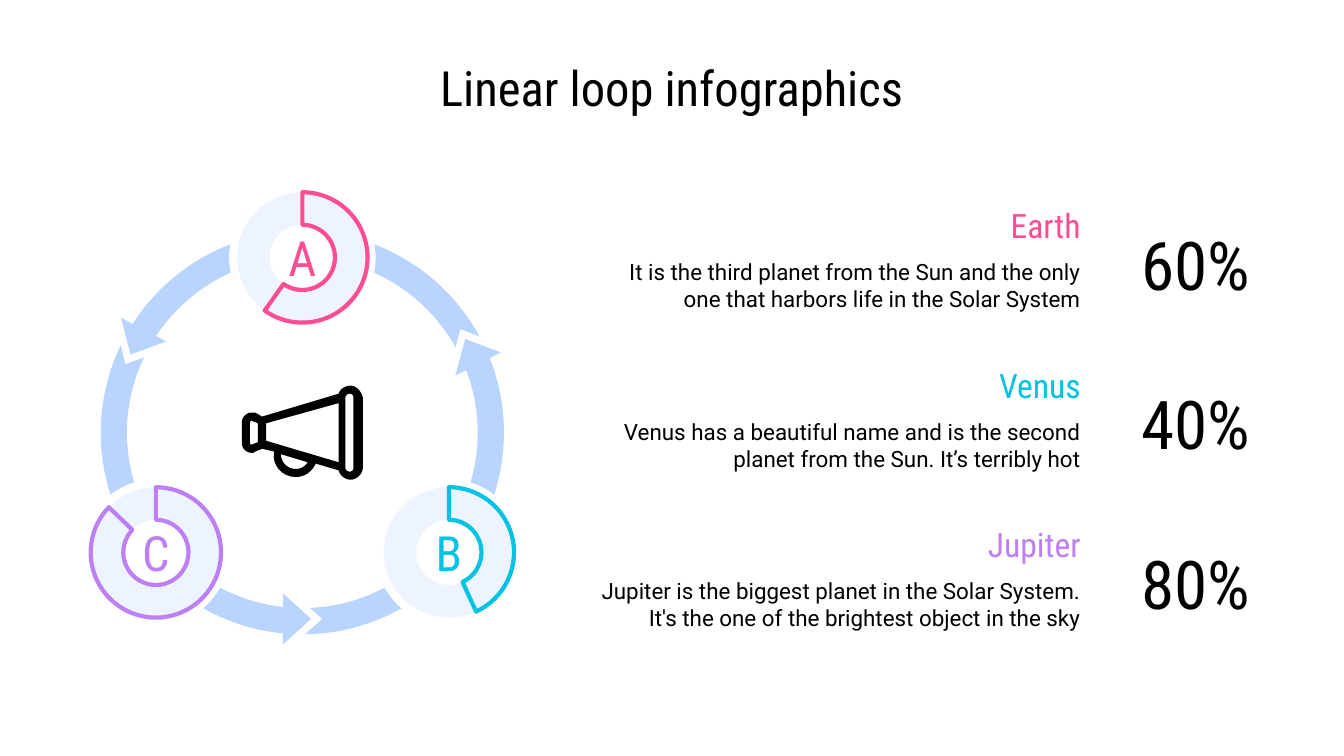
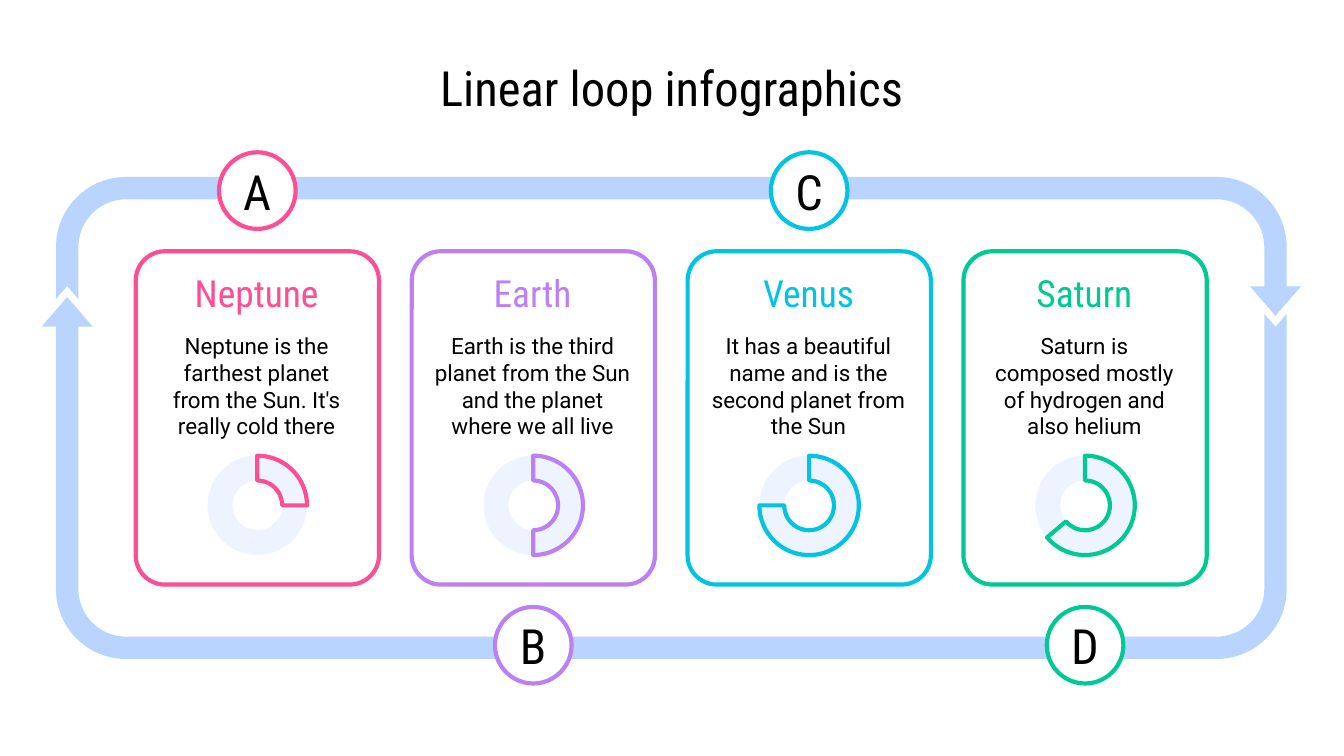
import math

import lxml.etree
import pptx
import pptx.dml.color
import pptx.enum.shapes
import pptx.enum.text
import pptx.oxml.ns
import pptx.util

RGB = pptx.dml.color.RGBColor
KIND = pptx.enum.shapes.MSO_SHAPE
ALIGN = pptx.enum.text.PP_ALIGN
ANCHOR = pptx.enum.text.MSO_ANCHOR

BLACK = RGB(0x00, 0x00, 0x00)
WHITE = RGB(0xFF, 0xFF, 0xFF)
SKY = RGB(0xB8, 0xD4, 0xFF)
PINK = RGB(0xFD, 0x4E, 0x93)
CYAN = RGB(0x02, 0xC3, 0xE2)
LILAC = RGB(0xBC, 0x80, 0xF4)
GREEN = RGB(0x00, 0xC9, 0x93)

HEAD = "Roboto Condensed"
BODY = "Roboto"
WIDE = pptx.util.Inches(10)
TALL = WIDE * 9 // 16
PAGE = (0, 0, WIDE, TALL)

PLANETS = [
    ("Earth", "60%", PINK,
     "It is the third planet from the Sun and the only one that harbors life "
     "in the Solar System"),
    ("Venus", "40%", CYAN,
     "Venus has a beautiful name and is the second planet from the Sun. "
     "It’s terribly hot"),
    ("Jupiter", "80%", LILAC,
     "Jupiter is the biggest planet in the Solar System. It's the one of the "
     "brightest object in the sky"),
]
# letter, colour, percent of the dial, centre in the ring's box
STOPS = [
    ("A", PINK, 59.81, 50, 6.5),
    ("B", CYAN, 43.13, 86.33, 79.67),
    ("C", LILAC, 87.17, 13.67, 79.67),
]
# centre in the ring's box, heading in degrees
TURNS = [(9, 27.5, 207.5), (92, 29.83, 333), (48.67, 96.17, 90)]

CARDS = [
    ("A", "Neptune", PINK, 25,
     "Neptune is the farthest planet from the Sun. It's really cold there"),
    ("B", "Earth", LILAC, 50,
     "Earth is the third planet from the Sun and the planet where we all live"),
    ("C", "Venus", CYAN, 75,
     "It has a beautiful name and is the second planet from the Sun"),
    ("D", "Saturn", GREEN, 63.84,
     "Saturn is composed mostly of hydrogen and also helium"),
]

# Megaphone on a 90 by 70 grid: a pair is a corner, six numbers are a curve.
HORN = [
    [(81, 0), (76, 0, 73, 3, 72, 6), (15, 23), (10, 20), (9, 20, 8, 20, 7, 20),
     (4, 20, 0, 23, 0, 27), (0, 43), (0, 47, 4, 50, 7, 50),
     (8, 50, 9, 50, 10, 49), (15, 47), (24, 49), (22, 59, 30, 68, 40, 68),
     (47, 68, 52, 64, 55, 58), (72, 63), (73, 67, 77, 70, 81, 70),
     (85, 70, 90, 66, 90, 61), (90, 9), (89, 4, 85, 0, 81, 0)],
    [(7, 26), (12, 28), (12, 42), (7, 44), (6, 43), (6, 27)],
    [(72, 13), (72, 57), (18, 41), (18, 28)],
    [(29, 51), (49, 57), (47, 60, 44, 62, 40, 62), (34, 62, 29, 57, 29, 51)],
    [(80, 6), (82, 6, 83, 7, 83, 9), (83, 61), (83, 63, 82, 64, 80, 64),
     (79, 64, 77, 63, 77, 61), (77, 9), (77, 7, 79, 6, 80, 6)],
]


def part(box, x, y, w, h):
    """Return a box inside a box, in percent of its size."""
    left, top, wide, tall = box
    return (round(left + wide * x / 100), round(top + tall * y / 100),
            round(wide * w / 100), round(tall * h / 100))


def center(box, x, y, w, h):
    """Like part, with x and y as the middle."""
    return part(box, x - w / 2, y - h / 2, w, h)


def paint(shape, fill=None, line=None, width=2.25):
    shape.shadow.inherit = False
    if fill is None:
        shape.fill.background()
    else:
        shape.fill.solid()
        shape.fill.fore_color.rgb = fill
    if line is None:
        shape.line.fill.background()
    else:
        shape.line.color.rgb = line
        shape.line.width = pptx.util.Pt(width)
    return shape


def draw(slide, kind, box, fill=None, line=None, width=2.25):
    return paint(slide.shapes.add_shape(kind, *box), fill, line, width)


def write(shape, text, size, color=BLACK, font=HEAD, align=ALIGN.CENTER,
          anchor=ANCHOR.MIDDLE, wrap=True):
    frame = shape.text_frame
    frame.text = text
    frame.word_wrap = wrap
    frame.auto_size = pptx.enum.text.MSO_AUTO_SIZE.NONE
    frame.vertical_anchor = anchor
    frame.margin_left = frame.margin_right = pptx.util.Inches(0.1)
    frame.margin_top = frame.margin_bottom = pptx.util.Inches(0.1)
    para = frame.paragraphs[0]
    para.alignment = align
    para.font.name = font
    para.font.size = pptx.util.Pt(size)
    para.font.color.rgb = color


def label(slide, box, text, size, **style):
    write(slide.shapes.add_textbox(*box), text, size, **style)


def start(deck):
    """Add a slide with the shared title."""
    slide = deck.slides.add_slide(deck.slide_layouts[5])
    title = slide.shapes.title
    title.left, title.top, title.width, title.height = part(
        PAGE, 4.5, 5.87, 91, 11.2)
    write(title, "Linear loop infographics", 26)
    return slide


def dial(slide, box, color, share):
    """Draw a pale ring with an outlined arc clockwise from the top."""
    ring = draw(slide, KIND.DONUT, box, SKY)
    ring.adjustments[0] = 0.25
    tint = ring.element.find(".//" + pptx.oxml.ns.qn("a:srgbClr"))
    lxml.etree.SubElement(tint, pptx.oxml.ns.qn("a:alpha"), val="24000")
    arc = draw(slide, KIND.BLOCK_ARC, box, line=color)
    # A full turn is 21600000 units, which the adjustments divide by 100000.
    for i, value in enumerate((216 * (1 - share / 100), 0, 0.25)):
        arc.adjustments[i] = value
    arc.rotation = 90
    arc.element.spPr.xfrm.set("flipH", "1")


def arrow(slide, box, angle):
    """Draw an arrowhead with a white gap ahead of its tip."""
    step = pptx.util.Inches(0.08)
    turn = math.radians(angle)
    left, top, wide, tall = box
    ahead = (round(left + step * math.sin(turn)),
             round(top - step * math.cos(turn)), wide, tall)
    for place, color in ((ahead, WHITE), (box, SKY)):
        tip = draw(slide, KIND.ISOSCELES_TRIANGLE, place, color)
        tip.rotation = angle


def trace(nodes, steps=8):
    """Turn corners and curves into a list of points."""
    points = [nodes[0]]
    for node in nodes[1:]:
        if len(node) == 2:
            points.append(node)
            continue
        ends = [points[-1], node[:2], node[2:4], node[4:]]
        for i in range(1, steps + 1):
            t = i / steps
            mix = ((1 - t) ** 3, 3 * t * (1 - t) ** 2, 3 * t * t * (1 - t), t ** 3)
            points.append(tuple(sum(m * end[axis] for m, end in zip(mix, ends))
                                for axis in (0, 1)))
    return points


def horn(slide, box):
    left, top, wide, tall = box
    pen = None
    for nodes in HORN:
        spots = [(left + x * wide / 90, top + y * tall / 70)
                 for x, y in trace(nodes)]
        if pen is None:
            pen = slide.shapes.build_freeform(*spots[0])
        else:
            pen.move_to(*spots[0])
        pen.add_line_segments(spots[1:], close=True)
    paint(pen.convert_to_shape(), BLACK)


def circle(slide, box):
    """Draw the ring with its arrows, icon and lettered dials."""
    draw(slide, KIND.DONUT, box, SKY).adjustments[0] = 0.065
    for x, y, angle in TURNS:
        arrow(slide, center(box, x, y, 12.67, 7), angle)
    horn(slide, part(box, 35, 38.33, 30, 23.33))
    for letter, color, share, x, y in STOPS:
        draw(slide, KIND.OVAL, center(box, x, y, 36.33, 36.33), WHITE)
        dial(slide, center(box, x, y, 32.33, 32.33), color, share)
        label(slide, center(box, x, y, 21, 21), letter, 26, color=color)


def entry(slide, box, name, share, color, text):
    label(slide, part(box, 0, 0, 73.8, 39.36), name, 18, color=color,
          align=ALIGN.RIGHT)
    label(slide, part(box, 0, 35.5, 73.8, 64.5), text, 12, font=BODY,
          align=ALIGN.RIGHT, anchor=ANCHOR.TOP)
    label(slide, part(box, 76.67, 15.96, 23.33, 68.09), share, 36)


def track(slide, box):
    """Draw the rounded loop with an arrow on each side."""
    loop = draw(slide, KIND.ROUNDED_RECTANGLE, box, line=SKY, width=12)
    loop.adjustments[0] = 0.128
    for x, y, angle in ((0, 26.9, 0), (100, 24.56, 180)):
        arrow(slide, center(box, x, y, 4.23, 6.43), angle)


def card(slide, box, high, letter, name, color, share, text):
    """Draw a card, its badge above (high) or below, and its dial."""
    panel = draw(slide, KIND.ROUNDED_RECTANGLE, box, WHITE, color)
    panel.adjustments[0] = 0.12
    badge = draw(slide, KIND.OVAL,
                 center(box, 50, -18.2 if high else 118.2, 31.5, 22.98),
                 WHITE, color)
    write(badge, letter, 26, wrap=False)
    label(slide, part(box, 3.87, 4.84, 91.7, 14.92), name, 20, color=color)
    label(slide, part(box, 3.87, 20.16, 91.7, 40.73), text, 12, font=BODY,
          anchor=ANCHOR.TOP)
    dial(slide, center(box, 50, 76.21, 40.88, 29.84), color, share)


def main():
    deck = pptx.Presentation()
    deck.slide_width, deck.slide_height = WIDE, TALL

    slide = start(deck)
    circle(slide, part(PAGE, 7.5, 30.58, 30, 53.33))
    for i, planet in enumerate(PLANETS):
        entry(slide, part(PAGE, 42.8, 26.49 + 21.1 * i, 52.3, 16.71), *planet)

    slide = start(deck)
    track(slide, part(PAGE, 5, 24.89, 89.9, 60.8))
    for i, data in enumerate(CARDS):
        card(slide, part(PAGE, 10.1 + 20.53 * i, 33.24, 18.1, 44.09),
             i % 2 == 0, *data)

    deck.save("out.pptx")


if __name__ == "__main__":
    main()
